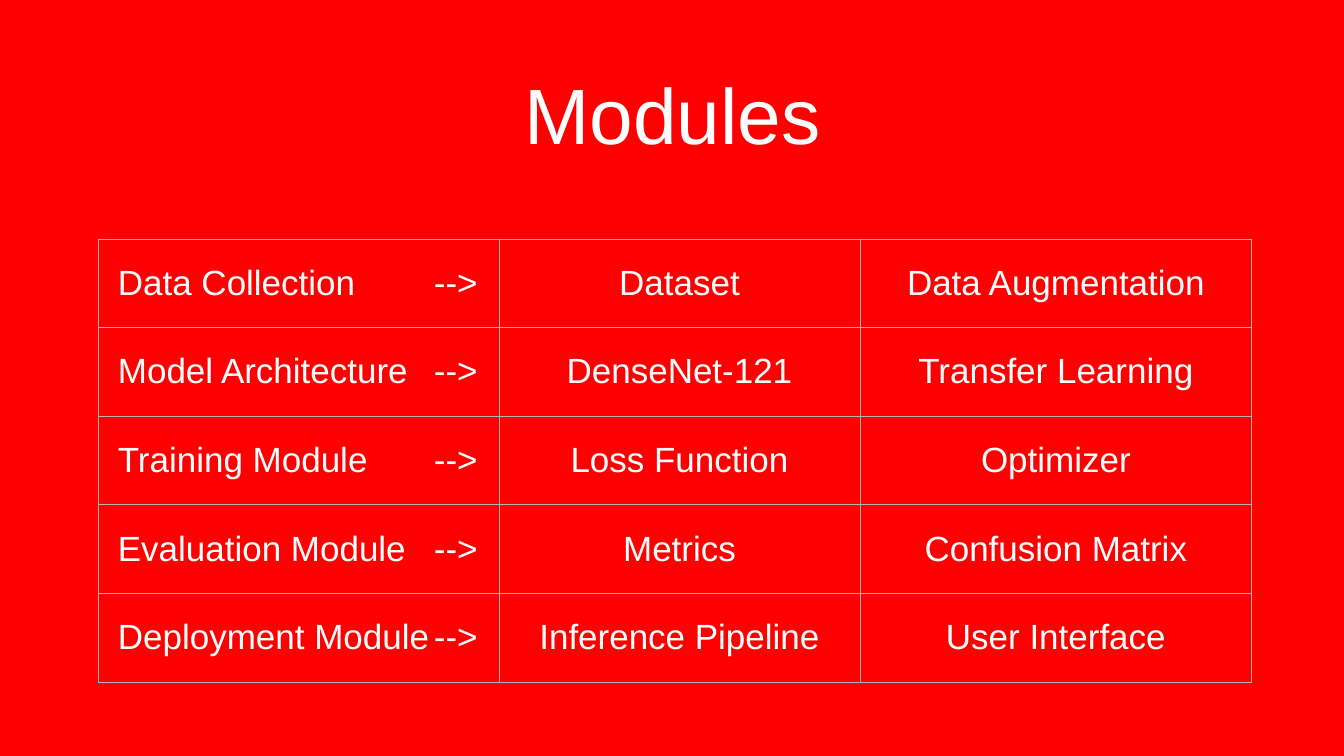
from lxml import etree
from pptx import Presentation
from pptx.dml.color import RGBColor
from pptx.enum import text
from pptx.oxml import ns
from pptx.util import Inches, Pt

TITLE = "Modules"
MODULES = [
    ("Data Collection\t-->", "Dataset", "Data Augmentation"),
    ("Model Architecture\t-->", "DenseNet-121", "Transfer Learning"),
    ("Training Module\t-->", "Loss Function", "Optimizer"),
    ("Evaluation Module\t-->", "Metrics", "Confusion Matrix"),
    ("Deployment Module\t-->", "Inference Pipeline", "User Interface"),
]
COLORS = {"background": "FF0000", "text": "FFFFFF", "border": "B4B4B4"}
FONT = "Arial"
COLUMN_WIDTHS = [7.94, 7.17, 7.77]
TABLE_LEFT, TABLE_TOP, TABLE_HEIGHT = 1.96, 4.74, 8.79
INSET, LABEL_INSET, ARROW_TAB = 0.06, 0.38, 7.14


def set_margins(target, left=INSET):
    target.margin_left = Inches(left)
    target.margin_right = target.margin_top = target.margin_bottom = Inches(INSET)


def style_paragraph(para, size, align):
    para.alignment = align
    for span in para.runs:
        span.font.name = FONT
        span.font.size = Pt(size)
        span.font.color.rgb = RGBColor.from_string(COLORS["text"])


def add_arrow_tab(para):
    tabs = etree.SubElement(para._p.get_or_add_pPr(), ns.qn("a:tabLst"))
    etree.SubElement(tabs, ns.qn("a:tab"), pos=str(Inches(ARROW_TAB)), algn="r")


def add_borders(cell):
    properties = cell._tc.get_or_add_tcPr()
    for index, side in enumerate(("lnL", "lnR", "lnT", "lnB")):
        line = etree.Element(ns.qn(f"a:{side}"), w=str(Pt(1)))
        fill = etree.SubElement(line, ns.qn("a:solidFill"))
        etree.SubElement(fill, ns.qn("a:srgbClr"), val=COLORS["border"])
        properties.insert(index, line)


def add_title(page):
    box = page.shapes.add_textbox(Inches(1.96), Inches(0.62), Inches(22.76), Inches(3.26))
    frame = box.text_frame
    frame.word_wrap = True
    frame.vertical_anchor = text.MSO_ANCHOR.MIDDLE
    set_margins(frame)
    frame.text = TITLE
    style_paragraph(frame.paragraphs[0], 112, text.PP_ALIGN.CENTER)


def add_module_table(page):
    table = page.shapes.add_table(
        len(MODULES), len(COLUMN_WIDTHS), Inches(TABLE_LEFT), Inches(TABLE_TOP),
        Inches(sum(COLUMN_WIDTHS)), Inches(TABLE_HEIGHT),
    ).table
    table.first_row = table.horz_banding = False
    for column, width in zip(table.columns, COLUMN_WIDTHS):
        column.width = Inches(width)
    for row, words in zip(table.rows, MODULES):
        row.height = Inches(TABLE_HEIGHT / len(MODULES))
        for index, (cell, word) in enumerate(zip(row.cells, words)):
            is_label = index == 0
            cell.text = word
            cell.vertical_anchor = text.MSO_ANCHOR.MIDDLE
            set_margins(cell, LABEL_INSET if is_label else INSET)
            cell.fill.background()
            add_borders(cell)
            para = cell.text_frame.paragraphs[0]
            if is_label:
                add_arrow_tab(para)
            style_paragraph(para, 50, text.PP_ALIGN.LEFT if is_label else text.PP_ALIGN.CENTER)


def main():
    deck = Presentation()
    deck.slide_width, deck.slide_height = Inches(26.67), Inches(15)
    page = deck.slides.add_slide(deck.slide_layouts[6])
    background = page.background.fill
    background.solid()
    background.fore_color.rgb = RGBColor.from_string(COLORS["background"])
    add_title(page)
    add_module_table(page)
    deck.save("out.pptx")


if __name__ == "__main__":
    main()
